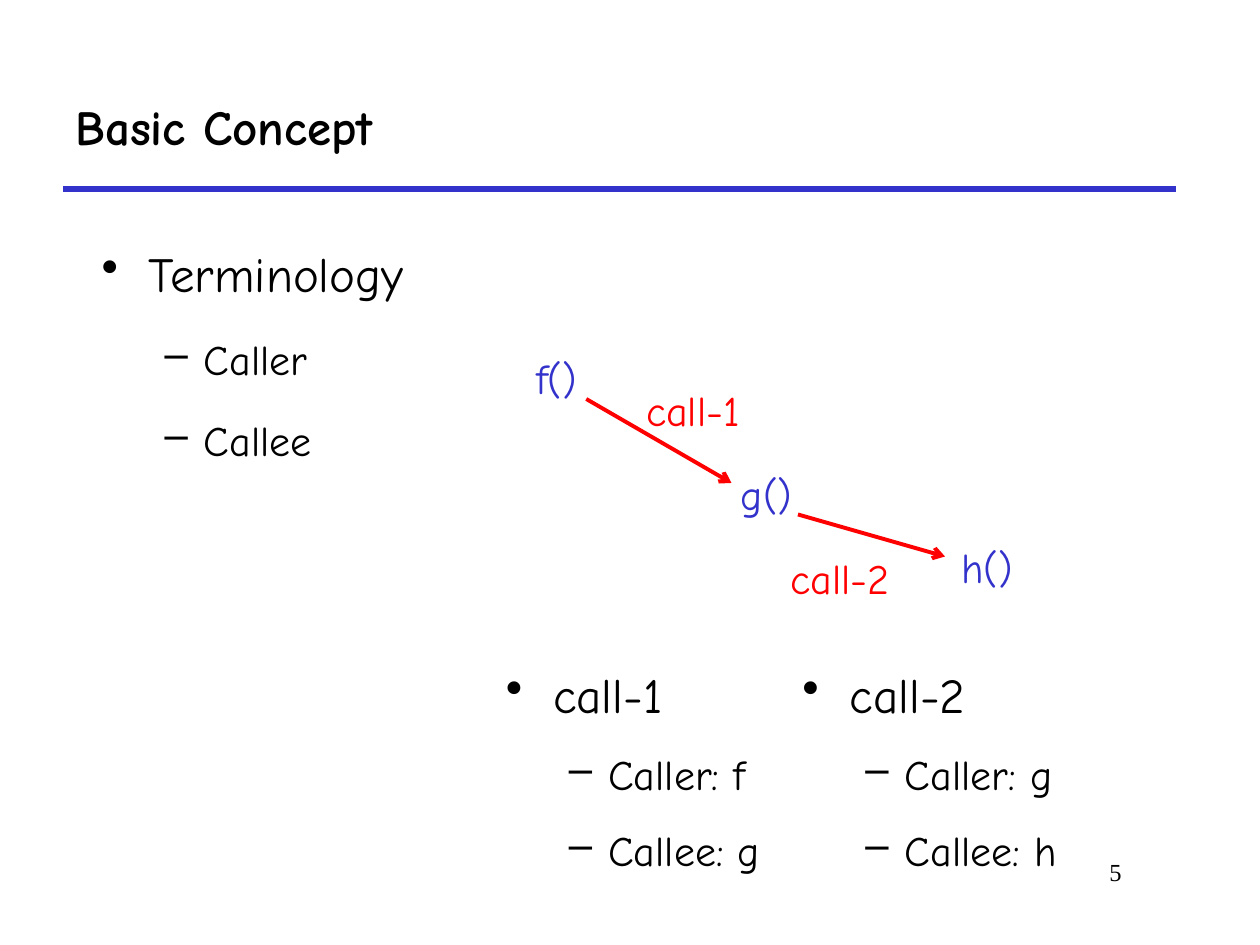
import pptx
import pptx.dml.color
import pptx.enum.shapes
import pptx.enum.text
import pptx.oxml.ns
import pptx.util
from lxml import etree

Pt = pptx.util.Pt
ALIGN = pptx.enum.text.PP_ALIGN
MID = pptx.enum.text.MSO_ANCHOR.MIDDLE
BLACK, BLUE, RED = "000000", "3333CC", "FF0000"
FONT = "Comic Neue"
# Per level: mark, left margin, hanging indent, text size, space before
LEVELS = [("•", 27, -27, 28, 7), ("–", 58.5, -22.5, 24, 6)]


def color(code):
    return pptx.dml.color.RGBColor.from_string(code)


def apply(item, values):
    for name, value in values.items():
        setattr(item, name, value)


def add_tag(parent, tag, **attrs):
    return etree.SubElement(parent, pptx.oxml.ns.qn(tag), attrs)


def style(para, size, code=BLACK, name=FONT, bold=False):
    apply(para.font, {"size": Pt(size), "name": name, "bold": bold})
    para.font.color.rgb = color(code)


def add_frame(slide, box):
    frame = slide.shapes.add_textbox(*map(Pt, box)).text_frame
    frame.word_wrap = True
    return frame


def add_label(slide, box, text, size, align=ALIGN.LEFT, **font):
    frame = add_frame(slide, box)
    para = frame.paragraphs[0]
    apply(para, {"text": text, "alignment": align})
    style(para, size, **font)
    return frame


def add_line(slide, start, end, code, width, arrow=False):
    kind = pptx.enum.shapes.MSO_CONNECTOR.STRAIGHT
    line = slide.shapes.add_connector(kind, *map(Pt, (*start, *end)))
    line.line.color.rgb = color(code)
    line.line.width = Pt(width)
    if arrow:
        add_tag(line.line._get_or_add_ln(), "a:tailEnd", type="arrow")
    add_tag(line._element.spPr, "a:effectLst")


def add_title(slide, box, text):
    left, top, width, height = box
    base = top + height
    add_line(slide, (left, base), (left + width, base), BLUE, 3)
    add_label(slide, box, text, 28, bold=True).vertical_anchor = MID


def add_list(slide, box, head, items, spacing):
    frame = add_frame(slide, box)
    for i, text in enumerate([head, *items]):
        para = frame.add_paragraph() if i else frame.paragraphs[0]
        level = min(i, 1)
        mark, margin, indent, size, before = LEVELS[level]
        props = para._p.get_or_add_pPr()
        props.set("marL", str(Pt(margin)))
        props.set("indent", str(Pt(indent)))
        add_tag(props, "a:buChar", char=mark)
        apply(para, {"text": text, "level": level, "line_spacing": spacing,
                     "space_before": Pt(before if i else 0)})
        style(para, size)


def add_graph(slide, box):
    """Draw the chain of calls, with offsets from the box's corner."""
    left, top, width, height = box
    nodes = [("f()", 0, 0), ("g()", 120, 66), ("h()", width - 48, height - 36)]
    calls = [("call-1", 48, 18, (41, 30), (124, 78)),
             ("call-2", 132, 114, (162, 96), (246, 120))]
    for text, x, y in nodes:
        add_label(slide, (left + x, top + y, 48, 36), text, 24,
                  ALIGN.CENTER, code=BLUE)
    for text, x, y, start, end in calls:
        ends = [(left + px, top + py) for px, py in (start, end)]
        add_line(slide, *ends, RED, 2.25, arrow=True)
        add_label(slide, (left + x, top + y, 108, 36), text, 24,
                  ALIGN.CENTER, code=RED)


def main():
    deck = pptx.Presentation()
    apply(deck, {"slide_width": Pt(720), "slide_height": Pt(540)})
    slide = deck.slides.add_slide(deck.slide_layouts[6])
    add_title(slide, (36, 36, 636, 72), "Basic Concept")
    add_list(slide, (51, 122.4, 642, 366), "Terminology",
             ["Caller", "Callee"], 1.4)
    add_graph(slide, (294, 198, 294, 144))
    for i, (caller, callee) in enumerate(["fg", "gh"]):
        add_list(slide, (282 + 169.5 * i, 366, 196.5, 144), f"call-{i + 1}",
                 [f"Caller: {caller}", f"Callee: {callee}"], 1.3)
    add_label(slide, (546, 486, 102, 36), "5", 14, ALIGN.RIGHT,
              name="Times New Roman")
    deck.save("out.pptx")


if __name__ == "__main__":
    main()
